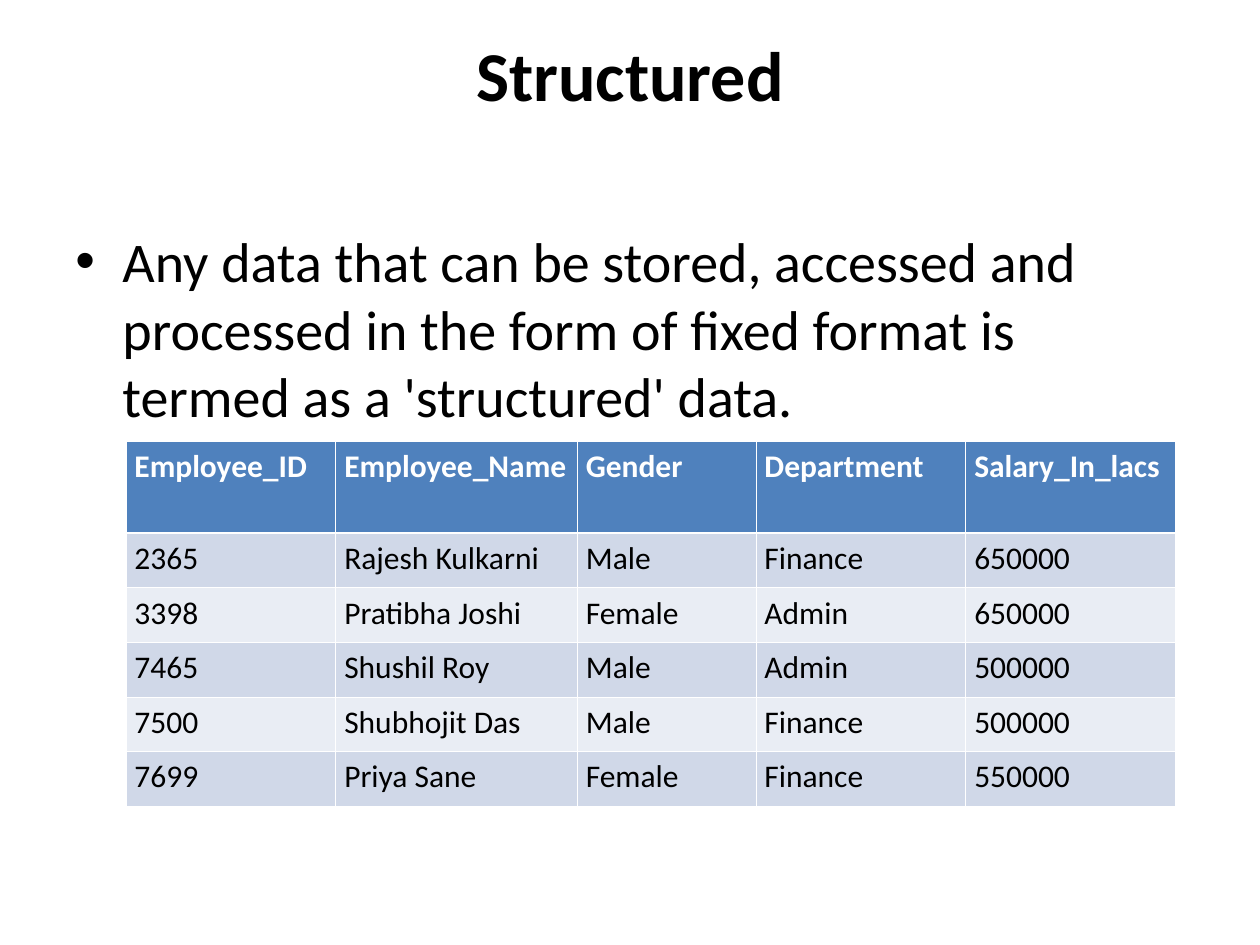
from dataclasses import dataclass
from typing import Any

from lxml.etree import SubElement
from pptx import Presentation
from pptx.dml.color import RGBColor
from pptx.enum.text import MSO_ANCHOR, PP_ALIGN
from pptx.oxml import parse_xml
from pptx.oxml.ns import nsdecls, qn
from pptx.util import Cm, Pt

BLACK = RGBColor(0x00, 0x00, 0x00)
WHITE = RGBColor(0xFF, 0xFF, 0xFF)
HEADER_BLUE = RGBColor(0x4F, 0x81, 0xBD)
BAND_DARK = RGBColor(0xD0, 0xD8, 0xE8)
BAND_LIGHT = RGBColor(0xE9, 0xED, 0xF4)

THIN, THICK = Pt(0.45), Pt(1.47)
CELL_MARGINS = {
    "margin_left": Cm(0.17), "margin_right": Cm(0.1),
    "margin_top": Cm(0.13), "margin_bottom": Cm(0.13),
}


@dataclass(frozen=True)
class TextStyle:
    size: float
    color: RGBColor = BLACK
    bold: bool = False


@dataclass(frozen=True)
class RowStyle:
    text: TextStyle
    fill: RGBColor
    height: float
    top_border: int = THIN
    bottom_border: int = THIN


@dataclass(frozen=True)
class Column:
    heading: str
    width: float
    values: tuple[str, ...]


COLUMNS = (
    Column("Employee_ID", 4.23, ("2365", "3398", "7465", "7500", "7699")),
    Column("Employee_Name", 4.87, ("Rajesh Kulkarni", "Pratibha Joshi", "Shushil Roy",
                                   "Shubhojit Das", "Priya Sane")),
    Column("Gender", 3.6, ("Male", "Female", "Male", "Male", "Female")),
    Column("Department", 4.23, ("Finance", "Admin", "Admin", "Finance", "Finance")),
    Column("Salary_In_lacs", 4.23, ("650000", "650000", "500000", "500000", "550000")),
)


def set_attributes(target: Any, values: dict[str, Any]) -> None:
    for attribute, value in values.items():
        setattr(target, attribute, value)


def write(frame: Any, text: str, style: TextStyle) -> None:
    run = frame.paragraphs[0].add_run()
    run.text = text
    set_attributes(run.font, {"name": "Calibri", "size": Pt(style.size), "bold": style.bold})
    run.font.color.rgb = style.color


def add_title(slide: Any) -> None:
    title = slide.shapes.title
    set_attributes(title, {"left": Cm(1.27), "top": Cm(0.64),
                           "width": Cm(22.86), "height": Cm(3.18)})
    set_attributes(title.text_frame, {"vertical_anchor": MSO_ANCHOR.TOP, "margin_top": 0})
    write(title.text_frame, "Structured", TextStyle(40, bold=True))
    title.text_frame.paragraphs[0].alignment = PP_ALIGN.CENTER


def add_definition(slide: Any) -> None:
    frame = slide.shapes.add_textbox(Cm(1.27), Cm(4.45), Cm(22.86), Cm(12.57)).text_frame
    frame.word_wrap = True
    write(frame, "Any data that can be stored, accessed and processed in the form of "
                 "fixed format is termed as a 'structured' data.", TextStyle(32))
    paragraph = frame.paragraphs[0]
    paragraph.space_before = Pt(8)
    properties = paragraph._p.get_or_add_pPr()
    properties.set("marL", str(Cm(0.95)))
    properties.set("indent", str(-Cm(0.95)))
    SubElement(properties, qn("a:buFont"), typeface="Arial")
    SubElement(properties, qn("a:buChar"), char="•")


def add_borders(cell: Any, style: RowStyle) -> None:
    widths = {"lnL": THIN, "lnR": THIN, "lnT": style.top_border, "lnB": style.bottom_border}
    for position, (side, width) in enumerate(widths.items()):
        border = parse_xml(
            f'<a:{side} {nsdecls("a")} w="{width}"><a:solidFill>'
            f'<a:srgbClr val="{WHITE}"/></a:solidFill></a:{side}>')
        cell._tc.get_or_add_tcPr().insert(position, border)


def style_for_row(index: int) -> RowStyle:
    if index == 0:
        return RowStyle(TextStyle(18, WHITE, True), HEADER_BLUE, 1.85, bottom_border=THICK)
    return RowStyle(TextStyle(18), BAND_DARK if index % 2 else BAND_LIGHT, 1.1,
                    top_border=THICK if index == 1 else THIN)


def add_employee_table(slide: Any) -> None:
    styles = [style_for_row(i) for i in range(len(COLUMNS[0].values) + 1)]
    table = slide.shapes.add_table(
        len(styles), len(COLUMNS), Cm(2.54), Cm(8.9),
        Cm(sum(column.width for column in COLUMNS)),
        Cm(sum(style.height for style in styles))).table
    for row, style in zip(table.rows, styles):
        row.height = Cm(style.height)
    for x, column in enumerate(COLUMNS):
        table.columns[x].width = Cm(column.width)
        for y, (text, style) in enumerate(zip((column.heading, *column.values), styles)):
            cell = table.cell(y, x)
            set_attributes(cell, CELL_MARGINS)
            cell.fill.solid()
            cell.fill.fore_color.rgb = style.fill
            add_borders(cell, style)
            write(cell.text_frame, text, style.text)


def main() -> None:
    presentation = Presentation()
    set_attributes(presentation, {"slide_width": Cm(25.4), "slide_height": Cm(19.05)})
    slide = presentation.slides.add_slide(presentation.slide_layouts.get_by_name("Title Only"))
    add_title(slide)
    add_definition(slide)
    add_employee_table(slide)
    presentation.save("out.pptx")


if __name__ == "__main__":
    main()
